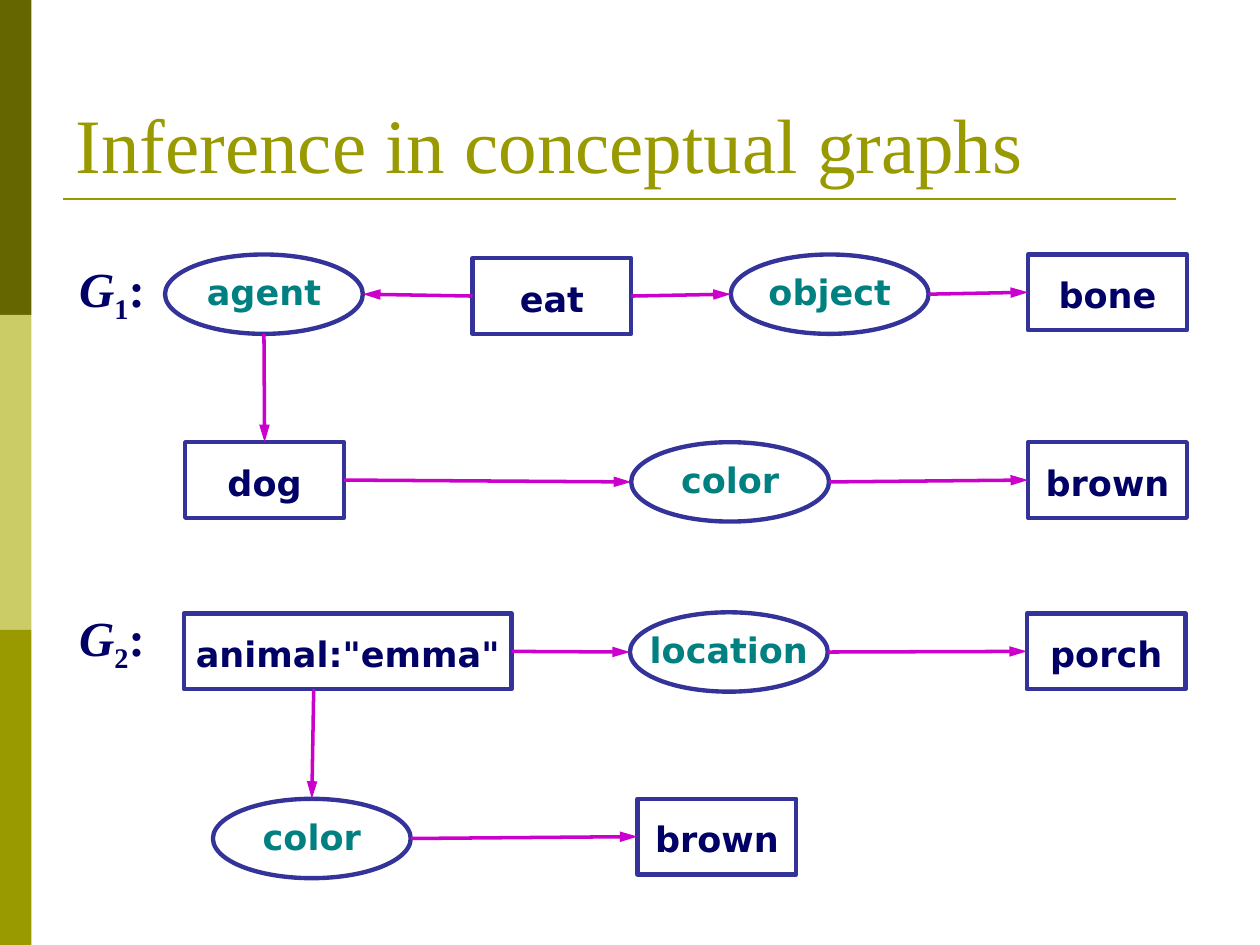
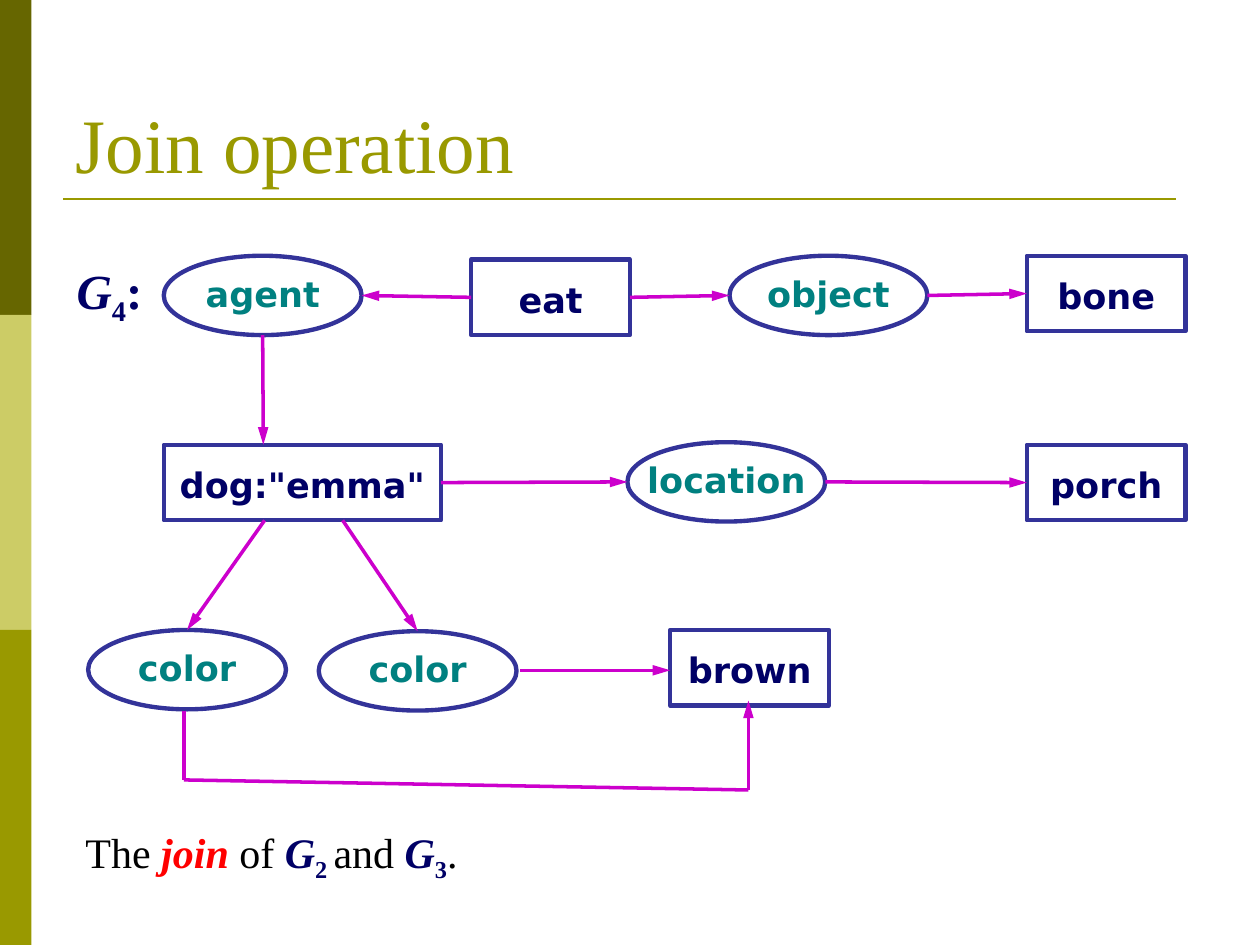
from dataclasses import dataclass
from typing import NamedTuple

from lxml.etree import SubElement
from pptx import Presentation
from pptx.dml.color import RGBColor
from pptx.enum.shapes import MSO_CONNECTOR, MSO_SHAPE
from pptx.enum.text import MSO_ANCHOR, MSO_AUTO_SIZE, PP_ALIGN
from pptx.oxml.ns import qn
from pptx.util import Inches, Pt

# Shared style
SERIF, SANS = "Times New Roman", "DejaVu Sans"
OLIVE, DARK_OLIVE, PALE_OLIVE = "999900", "666600", "CCCC66"
NAVY, TEAL, OUTLINE, ARROW = "000066", "008080", "333399", "CC00CC"
BLACK, RED = "000000", "FF0000"
BAND_HEIGHT = 2.5
LABEL_HEIGHT = 0.44


class Point(NamedTuple):
    x: float
    y: float


@dataclass
class Span:
    text: str
    color: str = NAVY
    bold: bool = True
    italic: bool = False
    subscript: bool = False


@dataclass
class Node:
    """A concept (rectangle) or a relation (ellipse) of a conceptual graph."""
    text: str
    x: float
    y: float
    width: float
    height: float
    shape: MSO_SHAPE
    color: str
    label_width: float

    def left(self) -> Point:
        return Point(self.x, self.y + self.height / 2)

    def right(self) -> Point:
        return Point(self.x + self.width, self.y + self.height / 2)

    def top(self) -> Point:
        return Point(self.x + self.width / 2, self.y)

    def bottom(self, shift: float = 0) -> Point:
        return Point(self.x + self.width / 2 + shift, self.y + self.height)


def concept(text: str, x: float, y: float, width: float = 1.26, label_width: float = 1.42) -> Node:
    return Node(text, x, y, width, 0.6, MSO_SHAPE.RECTANGLE, NAVY, label_width)


def relation(text: str, x: float, y: float, label_width: float = 1.42) -> Node:
    return Node(text, x, y, 1.57, 0.63, MSO_SHAPE.OVAL, TEAL, label_width)


def rgb(color: str) -> RGBColor:
    return RGBColor.from_string(color)


# Drawing functions
def add_spans(para, spans: list[Span], font: str, size: float) -> None:
    for span in spans:
        run = para.add_run()
        run.text = span.text
        run.font.name, run.font.size = font, Pt(size)
        run.font.bold, run.font.italic = span.bold, span.italic
        run.font.color.rgb = rgb(span.color)
        if span.subscript:
            run.font._element.set("baseline", "-25000")


def add_text(slide, x: float, y: float, width: float, height: float, spans: list[Span],
             font: str, size: float, align: PP_ALIGN = PP_ALIGN.LEFT) -> None:
    box = slide.shapes.add_textbox(Inches(x), Inches(y), Inches(width), Inches(height))
    box.text_frame.word_wrap = True
    para = box.text_frame.paragraphs[0]
    para.alignment = align
    add_spans(para, spans, font, size)


def add_line(slide, start: Point, end: Point, color: str = ARROW, width: float = 2,
             arrow: bool = True) -> None:
    line = slide.shapes.add_connector(MSO_CONNECTOR.STRAIGHT, Inches(start.x), Inches(start.y),
                                      Inches(end.x), Inches(end.y))
    line.line.color.rgb = rgb(color)
    line.line.width = Pt(width)
    if arrow:
        SubElement(line.line._get_or_add_ln(), qn("a:tailEnd"), type="triangle", w="med", len="lg")
    SubElement(line._element.spPr, qn("a:effectLst"))


def add_node(slide, node: Node) -> None:
    outline = slide.shapes.add_shape(node.shape, Inches(node.x), Inches(node.y),
                                     Inches(node.width), Inches(node.height))
    outline.shadow.inherit = False
    outline.fill.background()
    outline.line.color.rgb = rgb(OUTLINE)
    outline.line.width = Pt(2.5)
    drop = 0.08 if node.shape == MSO_SHAPE.OVAL else 0.1
    add_text(slide, node.top().x - node.label_width / 2, node.y + drop, node.label_width,
             LABEL_HEIGHT, [Span(node.text, node.color)], SANS, 20, PP_ALIGN.CENTER)


def add_graph(slide, nodes: list[Node], arrows: list[tuple[Point, Point]]) -> None:
    for node in nodes:
        add_node(slide, node)
    for start, end in arrows:
        add_line(slide, start, end)


def add_graph_name(slide, number: str, x: float, y: float) -> None:
    spans = [Span("G", italic=True), Span(number, subscript=True), Span(":")]
    add_text(slide, x, y, 0.94, 0.63, spans, SERIF, 28)


def add_page(deck, title: str):
    slide = deck.slides.add_slide(deck.slide_layouts[5])
    # Title
    heading = slide.shapes.title
    heading.left, heading.top = Inches(0.5), Inches(0.3)
    heading.width, heading.height = Inches(9), Inches(1.25)
    frame = heading.text_frame
    frame.auto_size, frame.word_wrap = MSO_AUTO_SIZE.NONE, True
    frame.vertical_anchor = MSO_ANCHOR.BOTTOM
    frame.paragraphs[0].alignment = PP_ALIGN.LEFT
    add_spans(frame.paragraphs[0], [Span(title, OLIVE, bold=False)], SERIF, 44)
    # Side bands and title rule
    for row, color in enumerate((DARK_OLIVE, PALE_OLIVE, OLIVE)):
        band = slide.shapes.add_shape(MSO_SHAPE.RECTANGLE, 0, Inches(row * BAND_HEIGHT),
                                      Inches(0.25), Inches(BAND_HEIGHT))
        band.shadow.inherit = False
        band.fill.solid()
        band.fill.fore_color.rgb = rgb(color)
        band.line.fill.background()
    add_line(slide, Point(0.5, 1.58), Point(9.33, 1.58), OLIVE, 1.5, arrow=False)
    return slide


def add_eating_row(slide, x: float, y: float) -> Node:
    """Draw agent <- eat -> object -> bone and return the agent."""
    agent, eat = relation("agent", x, y), concept("eat", x + 2.44, y + 0.03)
    thing, bone = relation("object", x + 4.49, y), concept("bone", x + 6.85, y)
    add_graph(slide, [agent, eat, thing, bone],
              [(eat.left(), agent.right()), (eat.right(), thing.left()),
               (thing.right(), bone.left())])
    return agent


# Slides
def add_inference_page(deck) -> None:
    slide = add_page(deck, "Inference in conceptual graphs")

    # First graph
    add_graph_name(slide, "1", 0.53, 2)
    agent = add_eating_row(slide, 1.31, 2.02)
    dog, color, brown = concept("dog", 1.47, 3.51), relation("color", 5.01, 3.51), concept("brown", 8.16, 3.51)
    add_graph(slide, [dog, color, brown],
              [(agent.bottom(), dog.top()), (dog.right(), color.left()),
               (color.right(), brown.left())])

    # Second graph
    add_graph_name(slide, "2", 0.53, 4.77)
    animal = concept('animal:"emma"', 1.46, 4.87, 2.6, 2.91)
    location, porch = relation("location", 5, 4.86, 1.58), concept("porch", 8.15, 4.87)
    color, brown = relation("color", 1.69, 6.34), concept("brown", 5.06, 6.34)
    add_graph(slide, [animal, location, porch, color, brown],
              [(animal.right(), location.left()), (location.right(), porch.left()),
               (animal.bottom(-0.27), color.top()), (color.right(), brown.left())])


def add_join_page(deck) -> None:
    slide = add_page(deck, "Join operation")

    # Joined graph
    add_graph_name(slide, "4", 0.51, 2.02)
    agent = add_eating_row(slide, 1.3, 2.03)
    dog = concept('dog:"emma"', 1.3, 3.53, 2.2, 2.6)
    location, porch = relation("location", 4.98, 3.51, 1.58), concept("porch", 8.15, 3.53)
    outer_color, inner_color = relation("color", 0.7, 5), relation("color", 2.53, 5.01)
    brown = concept("brown", 5.32, 5)
    add_graph(slide, [dog, location, porch, outer_color, inner_color, brown],
              [(agent.bottom(), Point(2.09, dog.y)), (dog.right(), location.left()),
               (location.right(), porch.left()), (dog.bottom(-0.3), outer_color.top()),
               (dog.bottom(0.32), inner_color.top()), (Point(4.13, 5.32), Point(5.32, 5.32))])

    # Detour from the outer color to brown
    detour = [Point(1.46, 5.64), Point(1.46, 6.19), Point(5.94, 6.27), Point(5.94, 5.56)]
    for start, end in zip(detour, detour[1:]):
        add_line(slide, start, end, arrow=end == detour[-1])

    # Caption
    caption = [
        Span("The ", BLACK, bold=False), Span("join", RED, italic=True),
        Span(" of ", BLACK, bold=False),
        Span("G", italic=True), Span("2 ", subscript=True),
        Span("and ", BLACK, bold=False),
        Span("G", italic=True), Span("3", subscript=True),
        Span(".", BLACK, bold=False),
    ]
    add_text(slide, 0.58, 6.51, 4.1, 0.56, caption, SERIF, 24)


def main() -> None:
    deck = Presentation()
    deck.slide_width, deck.slide_height = Inches(10), Inches(7.5)
    add_inference_page(deck)
    add_join_page(deck)
    deck.save("out.pptx")


if __name__ == "__main__":
    main()
